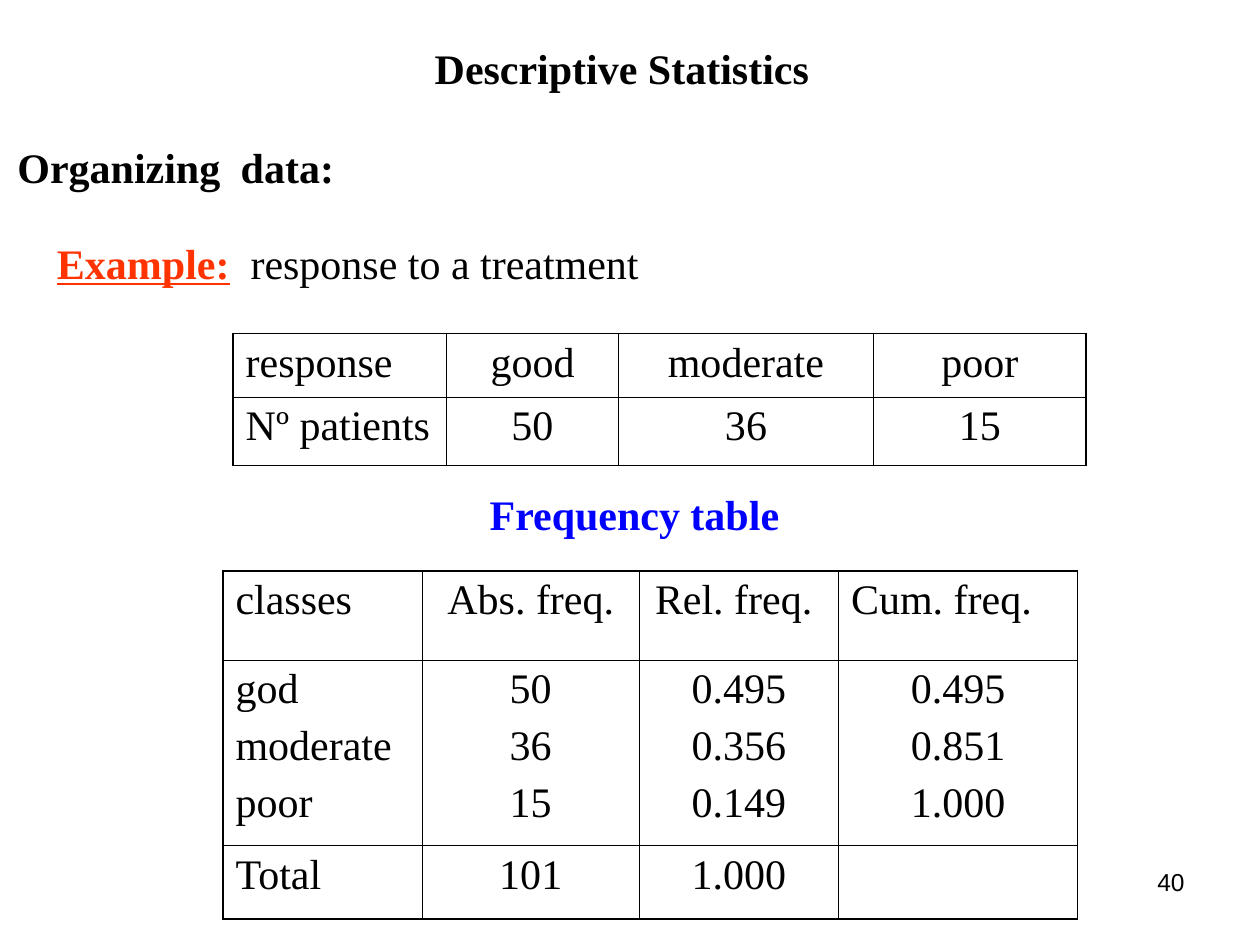
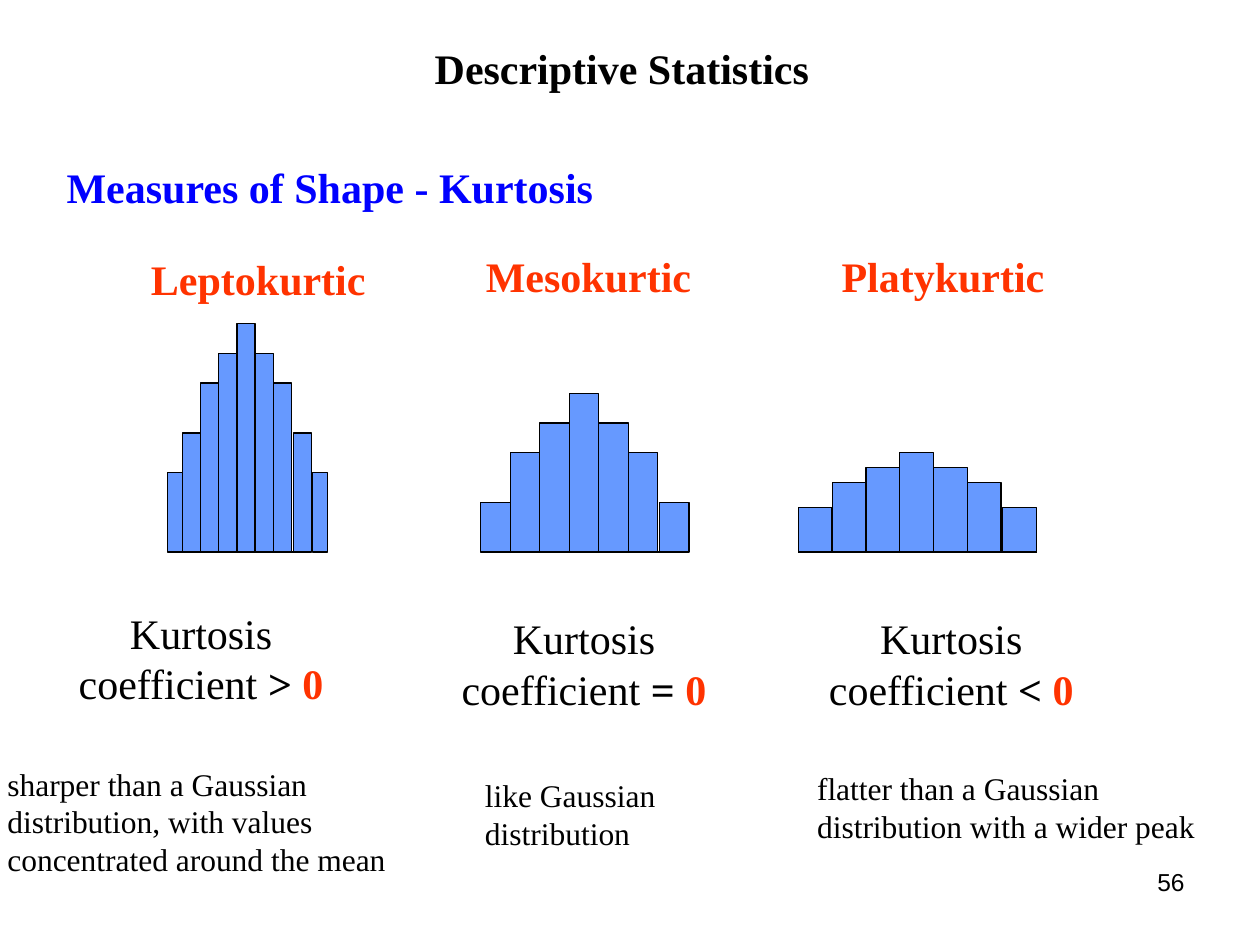
from lxml import etree
from pptx import Presentation
from pptx.dml.color import RGBColor
from pptx.enum.shapes import MSO_CONNECTOR, MSO_SHAPE
from pptx.enum.text import MSO_ANCHOR, MSO_AUTO_SIZE, PP_ALIGN
from pptx.oxml.ns import qn
from pptx.util import Pt

BLACK = RGBColor(0x00, 0x00, 0x00)
RED = RGBColor(0xFF, 0x33, 0x00)
BLUE = RGBColor(0x00, 0x00, 0xFF)
BAR_BLUE = RGBColor(0x66, 0x99, 0xFF)

SERIF = "Times New Roman"
SANS = "Arial"
LEFT, CENTER, RIGHT = PP_ALIGN.LEFT, PP_ALIGN.CENTER, PP_ALIGN.RIGHT

BASELINE = 315.4
TAIL_GAP = 1
OUTER_BORDER = 1.08
INNER_BORDER = 0.45


def add_run(paragraph, text, color=BLACK, bold=False, size=24, underline=False, face=SERIF):
    run = paragraph.add_run()
    run.text = text
    font = run.font
    font.name = face
    font.size = Pt(size)
    font.bold = bold
    font.underline = underline
    font.color.rgb = color


def add_tab_stop(paragraph, position):
    properties = paragraph._p.get_or_add_pPr()
    stops = etree.SubElement(properties, qn("a:tabLst"))
    etree.SubElement(stops, qn("a:tab"), pos=str(Pt(position)), algn="l")


def add_text(slide, box, align=LEFT):
    frame = slide.shapes.add_textbox(*map(Pt, box)).text_frame
    frame.word_wrap = True
    paragraph = frame.paragraphs[0]
    paragraph.alignment = align
    return paragraph


def add_lecture_slide(deck, number):
    slide = deck.slides.add_slide(deck.slide_layouts[5])
    title = slide.shapes.title
    title.left, title.top, title.width, title.height = map(Pt, (241.2, 20.4, 260.6, 36))
    frame = title.text_frame
    frame.auto_size = MSO_AUTO_SIZE.NONE
    frame.vertical_anchor = MSO_ANCHOR.TOP
    frame.paragraphs[0].alignment = LEFT
    add_run(frame.paragraphs[0], "Descriptive Statistics", bold=True)
    page = add_text(slide, (516.2, 491.8, 167.8, 37.4), RIGHT)
    add_run(page, str(number), size=14, face=SANS)
    return slide


def set_borders(cell, widths):
    properties = cell._tc.get_or_add_tcPr()
    for side, width in zip("LRTB", widths):
        border = etree.SubElement(properties, qn(f"a:ln{side}"), w=str(Pt(width)))
        fill = etree.SubElement(border, qn("a:solidFill"))
        etree.SubElement(fill, qn("a:srgbClr"), val=str(BLACK))


def fill_cell(cell, text, align):
    for index, line in enumerate(text.split("\n")):
        frame = cell.text_frame
        paragraph = frame.add_paragraph() if index else frame.paragraphs[0]
        paragraph.alignment = align
        if index:
            paragraph.space_before = Pt(6)
        if line:
            add_run(paragraph, line)


def add_data_table(slide, left, top, widths, heights, rows, left_cells=()):
    frame = slide.shapes.add_table(
        len(rows), len(widths), Pt(left), Pt(top), Pt(sum(widths)), Pt(sum(heights)))
    table = frame.table
    table.first_row = table.horz_banding = False
    for column, width in zip(table.columns, widths):
        column.width = Pt(width)
    last_row, last_column = len(rows) - 1, len(widths) - 1
    for r, values in enumerate(rows):
        table.rows[r].height = Pt(heights[r])
        for c, text in enumerate(values):
            cell = table.cell(r, c)
            fill_cell(cell, text, LEFT if c == 0 or (r, c) in left_cells else CENTER)
            on_edge = (c == 0, c == last_column, r == 0, r == last_row)
            set_borders(cell, [OUTER_BORDER if edge else INNER_BORDER for edge in on_edge])
            cell.fill.background()


def add_bar(slide, left, width, height):
    bar = slide.shapes.add_shape(
        MSO_SHAPE.RECTANGLE, Pt(left), Pt(BASELINE - height), Pt(width), Pt(height))
    bar.shadow.inherit = False
    bar.fill.solid()
    bar.fill.fore_color.rgb = BAR_BLUE
    bar.line.color.rgb = BLACK
    bar.line.width = Pt(0.75)


def add_histogram(slide, left, bar_width, rising):
    heights = rising + rising[-2::-1]
    last = len(heights) - 1
    for index, height in enumerate(heights):
        gap = TAIL_GAP if index == last else 0
        add_bar(slide, left + index * bar_width + gap, bar_width, height)
    right = left + len(heights) * bar_width + TAIL_GAP
    axis = slide.shapes.add_connector(
        MSO_CONNECTOR.STRAIGHT, Pt(left), Pt(BASELINE), Pt(right), Pt(BASELINE))
    axis.line.color.rgb = BLACK
    axis.line.width = Pt(0.75)
    etree.SubElement(axis._element.spPr, qn("a:effectLst"))


def add_kurtosis_kind(slide, name, name_box, sign, sign_box, meaning, meaning_box):
    add_run(add_text(slide, name_box, CENTER), name, RED, bold=True)
    coefficient = add_text(slide, sign_box, CENTER)
    add_run(coefficient, "Kurtosis coefficient ")
    add_run(coefficient, f"{sign} ", bold=True)
    add_run(coefficient, "0", RED, bold=True)
    add_run(add_text(slide, meaning_box), meaning, size=18)


def build_frequency_slide(deck):
    slide = add_lecture_slide(deck, 40)
    heading = add_text(slide, (2.9, 77.3, 283.7, 36))
    add_tab_stop(heading, 127.6)
    add_run(heading, "Organizing\tdata:", bold=True)

    example = add_text(slide, (25.5, 132.1, 629.3, 36))
    add_tab_stop(example, 110.6)
    add_run(example, "Example:", RED, bold=True, underline=True)
    add_run(example, "\t")
    add_run(example, "response to a treatment")

    add_data_table(slide, 133.2, 190.6, (121.9, 98.4, 145.6, 121.7), (36.4, 39), (
        ("response", "good", "moderate", "poor"),
        ("Nº patients", "50", "36", "15"),
    ))
    caption = add_text(slide, (110.2, 275.8, 504.7, 36), CENTER)
    add_run(caption, "Frequency table", BLUE, bold=True)
    add_data_table(slide, 127.4, 326.3, (113.8, 124.2, 113.8, 136.6), (51, 105.8, 42), (
        ("classes", "Abs. freq.", "Rel. freq. ", "Cum. freq."),
        ("god\nmoderate\npoor", "50\n36\n15", "0.495\n0.356\n0.149", "0.495\n0.851\n1.000"),
        ("Total", "101", "1.000", ""),
    ), left_cells={(0, 3)})


def build_kurtosis_slide(deck):
    slide = add_lecture_slide(deck, 56)
    heading = add_text(slide, (31, 88.6, 521.3, 36))
    add_run(heading, "Measures of Shape - Kurtosis", BLUE, bold=True)

    add_histogram(slide, 104.2, 10.4, [68, 96.5, 113.5, 130.5])
    for tail_left in (95.7, 178.5):
        add_bar(slide, tail_left, 8.7, 45.5)
    add_histogram(slide, 274.8, 16.85, [28.2, 57, 73.6, 90.6])
    add_histogram(slide, 456.2, 19.3, [25.4, 39.6, 48.2, 56.8])

    add_kurtosis_kind(
        slide, "Leptokurtic", (72.6, 141.1, 150, 36), ">", (34.6, 343.6, 160.6, 65),
        "sharper than a Gaussian distribution, with values concentrated around the mean",
        (-2.9, 433.4, 244.1, 72))
    add_kurtosis_kind(
        slide, "Mesokurtic", (261.3, 139.7, 150, 36), "=", (248.4, 346.5, 170.6, 65),
        "like Gaussian distribution", (270, 440.2, 169.2, 50.4))
    add_kurtosis_kind(
        slide, "Platykurtic", (463.9, 139.7, 150, 36), "<", (456.5, 346.5, 174.2, 65),
        "flatter than a Gaussian distribution with a wider peak",
        (459.8, 435.9, 246.2, 50.4))


def main():
    deck = Presentation()
    deck.slide_width, deck.slide_height = Pt(720), Pt(540)
    build_frequency_slide(deck)
    build_kurtosis_slide(deck)
    deck.save("out.pptx")


if __name__ == "__main__":
    main()
